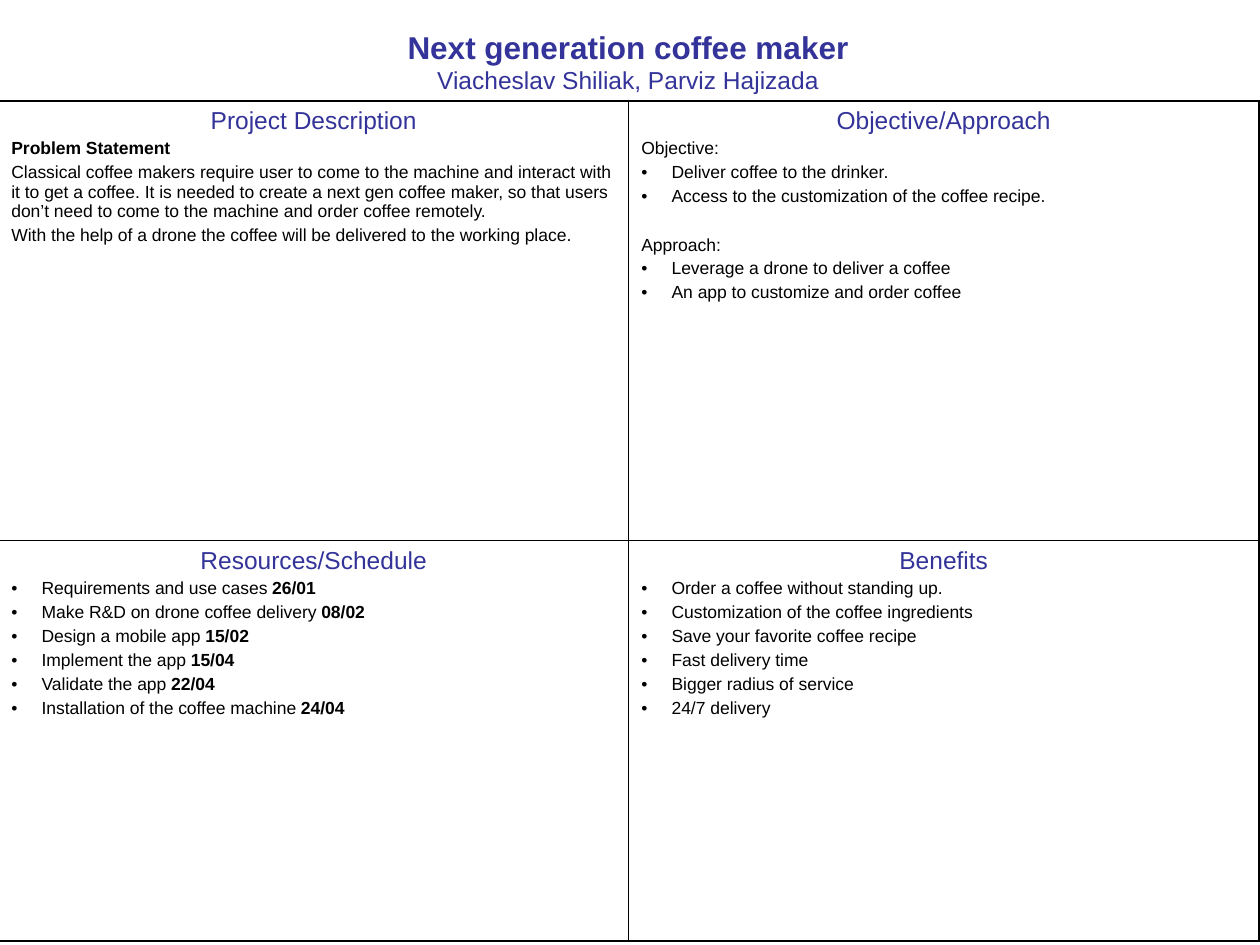
from lxml import etree
from pptx import Presentation
from pptx.dml.color import RGBColor
from pptx.enum.text import PP_ALIGN
from pptx.oxml.ns import qn
from pptx.util import Inches, Pt

NAVY, BLACK = "333399", "000000"
OUTER, INNER = 1.08, 0.45
BULLET_INDENT = Inches(0.24)

# Each quadrant is a heading and its lines; a line is (text, format).
BULLET = {"bullet": True}
DESCRIPTION = ("Project Description", [
    ("Problem Statement", {"bold": True}),
    ("Classical coffee makers require user to come to the machine and interact "
     "with it to get a coffee. It is needed to create a next gen coffee maker, "
     "so that users don’t need to come to the machine and order coffee remotely.", {}),
    ("With the help of a drone the coffee will be delivered to the working place.", {}),
])
OBJECTIVE = ("Objective/Approach", [
    ("Objective:", {}),
    ("Deliver coffee to the drinker.", BULLET),
    ("Access to the customization of the coffee recipe.", BULLET),
    ("Approach:", {"before": 16.5}),
    ("Leverage a drone to deliver a coffee", BULLET),
    ("An app to customize and order coffee", BULLET),
])
MILESTONES = [
    ("Requirements and use cases ", "26/01"),
    ("Make R&D on drone coffee delivery ", "08/02"),
    ("Design a mobile app ", "15/02"),
    ("Implement the app ", "15/04"),
    ("Validate the app ", "22/04"),
    ("Installation of the coffee machine ", "24/04"),
]
SCHEDULE = ("Resources/Schedule",
            [(task, {"bullet": True, "bold_tail": date}) for task, date in MILESTONES])
BENEFITS = ("Benefits", [(benefit, BULLET) for benefit in (
    "Order a coffee without standing up.",
    "Customization of the coffee ingredients",
    "Save your favorite coffee recipe",
    "Fast delivery time",
    "Bigger radius of service",
    "24/7 delivery",
)])
QUADRANTS = [[DESCRIPTION, OBJECTIVE], [SCHEDULE, BENEFITS]]


def rgb(hex_color):
    return RGBColor.from_string(hex_color)


def add_bullet(paragraph):
    properties = paragraph._p.get_or_add_pPr()
    properties.set("marL", str(BULLET_INDENT))
    properties.set("indent", str(-BULLET_INDENT))
    etree.SubElement(properties, qn("a:buFont"), typeface="Arial")
    etree.SubElement(properties, qn("a:buChar"), char="•")


def write(frame, text, size=10, color=BLACK, bold=False, align=PP_ALIGN.LEFT,
          before=2.5, bullet=False, bold_tail=""):
    """Add one paragraph, filling the first one while it is still empty."""
    first = frame.paragraphs[0]
    paragraph = frame.add_paragraph() if first.runs else first
    paragraph.alignment = align
    paragraph.space_before = Pt(before)
    if bullet:
        add_bullet(paragraph)
    for words, heavy in ((text, bold), (bold_tail, True)):
        if words:
            run = paragraph.add_run()
            run.text = words
            run.font.name = "Arial"
            run.font.size = Pt(size)
            run.font.bold = heavy
            run.font.color.rgb = rgb(color)


def set_borders(cell, **widths):
    """Draw black borders; widths in points are keyed L, R, T and B."""
    properties = cell._tc.get_or_add_tcPr()
    for side in "LRTB":
        line = etree.SubElement(properties, qn(f"a:ln{side}"), w=str(Pt(widths[side])))
        fill = etree.SubElement(line, qn("a:solidFill"))
        etree.SubElement(fill, qn("a:srgbClr"), val=BLACK)


def add_title(slide, left, top, width, height):
    frame = slide.shapes.add_textbox(left, top, width, height).text_frame
    frame.word_wrap = True
    centred = {"color": NAVY, "align": PP_ALIGN.CENTER, "before": 0}
    write(frame, "Next generation coffee maker", size=18, bold=True, **centred)
    write(frame, "Viacheslav Shiliak, Parviz Hajizada", size=14, **centred)


def fill_quadrant(cell, heading, lines):
    cell.margin_left = cell.margin_right = Inches(0.1)
    cell.margin_top = cell.margin_bottom = Inches(0.05)
    write(cell.text_frame, heading, size=14, color=NAVY,
          align=PP_ALIGN.CENTER, before=3.5)
    for text, text_format in lines:
        write(cell.text_frame, text, **text_format)


def add_quad_chart(slide, left, top, width, row_heights):
    table = slide.shapes.add_table(2, 2, left, top, width, sum(row_heights)).table
    table.first_row = table.horz_banding = False
    for r, height in enumerate(row_heights):
        table.rows[r].height = height
        for c, (heading, lines) in enumerate(QUADRANTS[r]):
            cell = table.cell(r, c)
            set_borders(cell,
                        L=INNER if c else OUTER, R=OUTER if c else INNER,
                        T=INNER if r else OUTER, B=OUTER if r else INNER)
            cell.fill.background()
            fill_quadrant(cell, heading, lines)


def main():
    presentation = Presentation()
    presentation.slide_width = Inches(10)
    presentation.slide_height = Inches(7.5)
    slide = presentation.slides.add_slide(presentation.slide_layouts[6])
    add_title(slide, Inches(0.82), Inches(0.17), Inches(8.33), Inches(0.64))
    add_quad_chart(slide, Inches(-0.01), Inches(0.8), Inches(10),
                   [Inches(3.49), Inches(3.18)])
    presentation.save("out.pptx")


if __name__ == "__main__":
    main()
